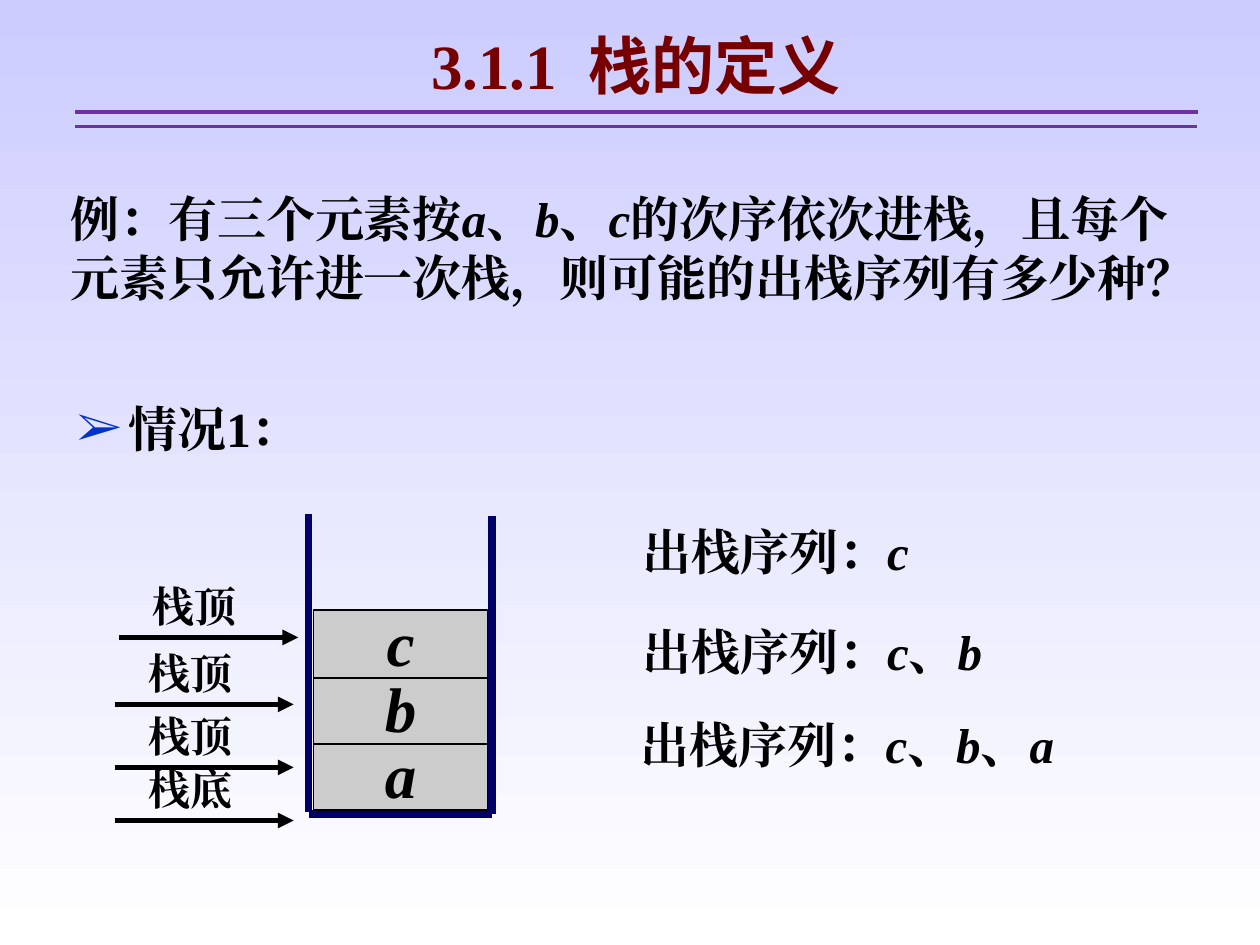
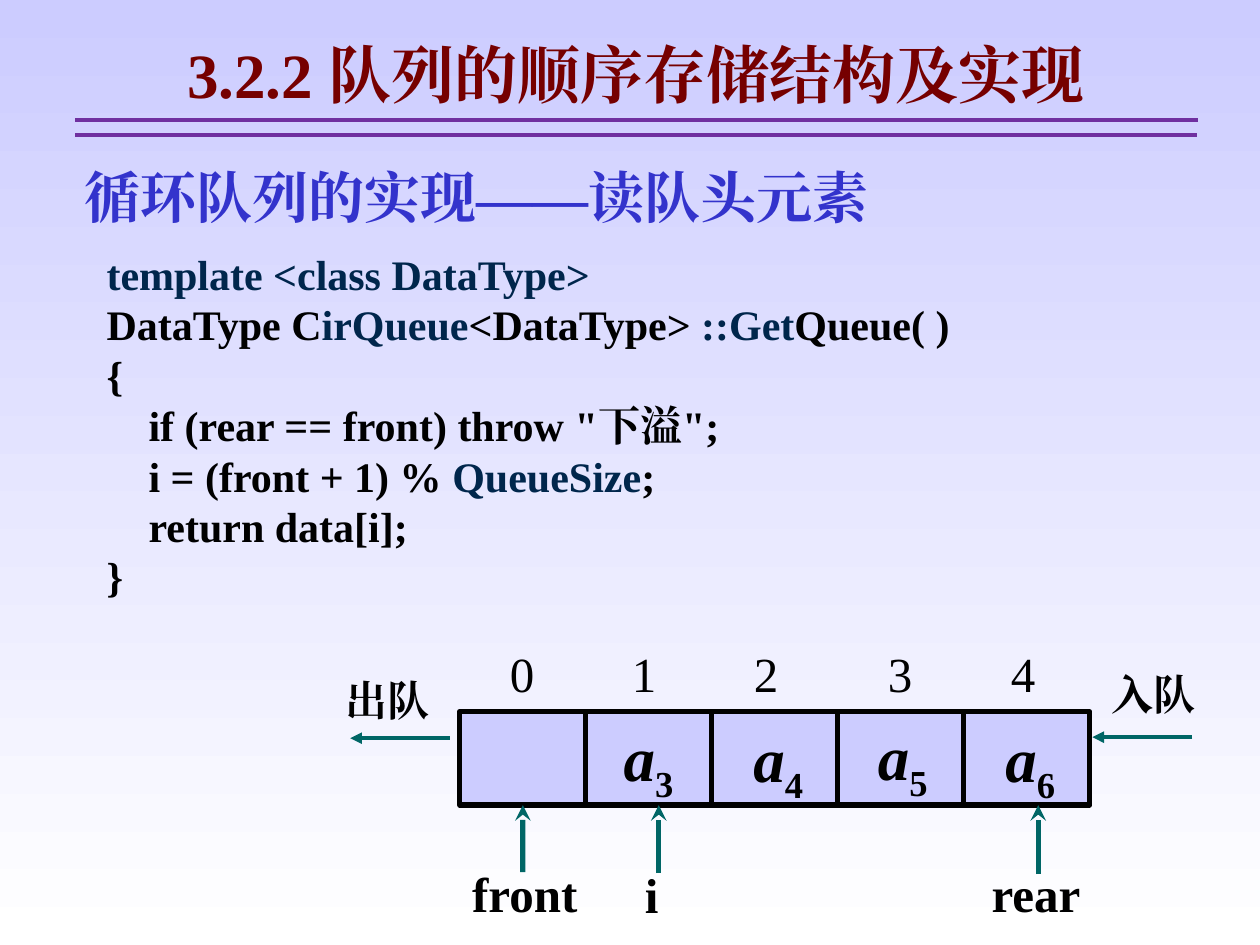
from dataclasses import dataclass

from lxml.etree import SubElement
from pptx import Presentation
from pptx.dml.color import RGBColor
from pptx.enum.shapes import MSO_CONNECTOR, MSO_SHAPE
from pptx.enum.text import MSO_ANCHOR, PP_ALIGN
from pptx.oxml.ns import qn
from pptx.util import Cm, Pt


@dataclass(frozen=True)
class Theme:
    black: str = "000000"
    title: str = "760000"
    rule: str = "7030A0"
    sky: str = "CCCCFF"
    white: str = "FFFFFF"
    stack_wall: str = "000066"
    stack_cell: str = "CCCCCC"
    pointer: str = "006666"
    heading: str = "3333CC"
    code: str = "00264C"
    bullet: str = "0033CC"
    serif: str = "Times New Roman"
    sans: str = "Noto Sans CJK SC"
    title_size: int = 36
    heading_size: int = 32
    body_size: int = 28
    label_size: int = 24


THEME = Theme()
ITALIC = {"italic": True}
CODE = {"color": THEME.code}
LABEL = {"size": THEME.label_size}
ELEMENT = {"size": THEME.title_size, "italic": True}
SUBSCRIPT = {"italic": False, "baseline": "-25000"}


def rgb(color):
    return RGBColor.from_string(color)


def add_span(para, text, style):
    span = para.add_run()
    span.text = text
    values = {
        "name": style.get("name", THEME.serif),
        "size": Pt(style.get("size", THEME.body_size)),
        "bold": style.get("bold", True),
        "italic": style.get("italic", False),
    }
    for name, value in values.items():
        setattr(span.font, name, value)
    span.font.color.rgb = rgb(style.get("color", THEME.black))
    properties = span.font._element
    SubElement(properties, qn("a:ea"), typeface=values["name"])
    for name in ("baseline", "spc"):
        if name in style:
            properties.set(name, style[name])


def write(para, spans, style):
    """Add spans, each a string or a (string, style changes) pair."""
    for item in spans:
        text, changes = (item, {}) if isinstance(item, str) else item
        add_span(para, text, {**style, **changes})


def add_text(page, left, top, width, height, lines, style=None,
             align=PP_ALIGN.LEFT, side_inset=0.25):
    """Place a text box; lines holds one list of spans per paragraph."""
    box = page.shapes.add_textbox(Cm(left), Cm(top), Cm(width), Cm(height))
    frame = box.text_frame
    layout = {
        "word_wrap": True,
        "margin_left": Cm(side_inset),
        "margin_right": Cm(side_inset),
        "margin_top": Cm(0.13),
        "margin_bottom": Cm(0.13),
    }
    for name, value in layout.items():
        setattr(frame, name, value)
    for number, spans in enumerate(lines):
        para = frame.add_paragraph() if number else frame.paragraphs[0]
        para.alignment = align
        write(para, spans, style or {})
    return box


def add_line(page, start, end, color, weight, arrow=None):
    line = page.shapes.add_connector(
        MSO_CONNECTOR.STRAIGHT, *(Cm(value) for value in (*start, *end)))
    line.line.color.rgb = rgb(color)
    line.line.width = Pt(weight)
    if arrow:
        SubElement(line.get_or_add_ln(), qn("a:tailEnd"), type=arrow)
    SubElement(line.element.spPr, qn("a:effectLst"))
    return line


def add_cell(page, left, top, width, height, fill, weight):
    cell = page.shapes.add_shape(
        MSO_SHAPE.RECTANGLE, Cm(left), Cm(top), Cm(width), Cm(height))
    cell.shadow.inherit = False
    cell.fill.solid()
    cell.fill.fore_color.rgb = rgb(fill)
    cell.line.color.rgb = rgb(THEME.black)
    cell.line.width = Pt(weight)
    return cell


def add_bullet(para, symbol, indent):
    properties = para._p.get_or_add_pPr()
    properties.set("marL", str(Cm(indent)))
    properties.set("indent", str(-Cm(indent)))
    color = SubElement(properties, qn("a:buClr"))
    SubElement(color, qn("a:srgbClr"), val=THEME.bullet)
    SubElement(properties, qn("a:buFont"), typeface=THEME.serif)
    SubElement(properties, qn("a:buChar"), char=symbol)


def add_tabs(para, stops):
    tabs = SubElement(para._p.get_or_add_pPr(), qn("a:tabLst"))
    for stop in stops:
        SubElement(tabs, qn("a:tab"), pos=str(Cm(stop)), algn="l")


def add_page(deck, title, top):
    """Add a page with the shared background, title and double rule."""
    page = deck.slides.add_slide(deck.slide_layouts[6])
    fill = page.background.fill
    fill.gradient()
    fill.gradient_angle = 270
    for stop, position, color in zip(
            fill.gradient_stops, (0, 1), (THEME.sky, THEME.white)):
        stop.position = position
        stop.color.rgb = rgb(color)
    add_text(page, 1.68, top, 22.28, 1.78, [title],
             {"size": THEME.title_size, "color": THEME.title},
             PP_ALIGN.CENTER)
    for right, drop in ((24.15, 1.84), (24.13, 2.14)):
        add_line(page, (1.52, top + drop), (right, top + drop),
                 THEME.rule, 2.25)
    return page


def listed(letters):
    """Set italic letters apart with upright enumeration commas."""
    spans = []
    for letter in letters:
        spans += ["、", (letter, ITALIC)]
    return spans[1:]


def draw_stack(page):
    left, right, floor = 6.22, 9.91, 16.41
    walls = [
        ((left, 10.36), (left, 16.36)),
        ((left, floor), (right, floor)),
        ((right, 10.41), (right, floor)),
    ]
    for start, end in walls:
        add_line(page, start, end, THEME.stack_wall, 4.5)
    for level, letter in enumerate("abc"):
        cell = add_cell(page, 6.32, 14.96 - level * 1.33, 3.51, 1.37,
                        THEME.stack_cell, 0.75)
        frame = cell.text_frame
        layout = {
            "word_wrap": False,
            "vertical_anchor": MSO_ANCHOR.MIDDLE,
            "margin_top": 0,
            "margin_bottom": Cm(0.13),
        }
        for name, value in layout.items():
            setattr(frame, name, value)
        frame.paragraphs[0].alignment = PP_ALIGN.CENTER
        write(frame.paragraphs[0], [letter], ELEMENT)


def draw_stack_pointers(page):
    pointers = [("栈底", 2.31, 15.27), ("栈顶", 2.31, 14.2),
                ("栈顶", 2.31, 12.93), ("栈顶", 2.4, 11.58)]
    for name, left, top in pointers:
        shaft = top + 1.27
        add_line(page, (left, shaft), (left + 3.61, shaft),
                 THEME.black, 3, "triangle")
        add_text(page, left + 0.43, top, 2.54, 1.27, [[name]], LABEL)


def build_stack_page(deck):
    title = ["3.1.1", (" ", {"spc": "900"}),
             ("栈的定义", {"name": THEME.sans})]
    page = add_page(deck, title, 0.41)
    draw_stack(page)
    draw_stack_pointers(page)
    for letters, left, top, height in (("c", 12.7, 10.39, 1.45),
                                       ("cb", 12.7, 12.4, 1.45),
                                       ("cba", 12.67, 14.27, 2.64)):
        add_text(page, left, top, 9.75, height,
                 [["出栈序列：", *listed(letters)]])
    question = ["例：有三个元素按", *listed("abc"),
                "的次序依次进栈，且每个元素只允许进一次栈，"
                "则可能的出栈序列有多少种？"]
    add_text(page, 1.42, 3.68, 23.01, 2.64, [question], side_inset=0)
    case = add_text(page, 1.3, 7.9, 6, 1.45, [["情况1："]])
    add_bullet(case.text_frame.paragraphs[0], "➢", 1.04)


def draw_queue(page):
    """Draw the five slots with their indices and return the slots."""
    left, top, width = 9.27, 14.35, 2.54
    slots = [add_cell(page, left + index * width, top, width, 1.88,
                      THEME.sky, 3) for index in range(5)]
    indices = add_text(page, 10.03, 12.85, 11.89, 1.45, [[]])
    para = indices.text_frame.paragraphs[0]
    add_tabs(para, (2.46, 4.92, 7.62, 10.1))
    write(para, ["0\t1\t2\t3\t4"], {"bold": False})
    elements = [("3", 12.32, 14.35), ("4", 14.94, 14.38),
                ("5", 17.45, 14.33), ("6", 20.02, 14.38)]
    for number, x, y in elements:
        add_text(page, x, y, 1.63, 2, [["a", (number, SUBSCRIPT)]], ELEMENT)
    return slots


def draw_queue_flow(page):
    flows = [("入队", 22.15, 13.34, 24.03, 14.86),
             ("出队", 6.71, 13.46, 9.07, 14.88)]
    for name, left, top, start, shaft in flows:
        add_line(page, (start, shaft), (start - 2.01, shaft),
                 THEME.pointer, 2.25, "triangle")
        add_text(page, left, top, 2.74, 1.27, [[name]], LABEL)


def draw_queue_pointers(page, first_slot):
    pointers = [("front", 9.27, 17.27, 10.54, 17.58),
                ("i", 12.75, 17.3, 13.28, 17.6),
                ("rear", 19.74, 17.27, 20.93, 17.62)]
    for name, left, top, shaft, tail in pointers:
        arrow = add_line(page, (shaft, tail), (shaft, 16.23),
                         THEME.pointer, 3, "stealth")
        if name == "front":
            arrow.end_connect(first_slot, 2)
        add_text(page, left, top, 2.67, 1.45, [[name]])


def build_queue_page(deck):
    page = add_page(deck, ["3.2.2 队列的顺序存储结构及实现"], 0.58)
    code_lines = [
        [("template <class DataType>", CODE)],
        ["DataType C", ("irQueue", CODE), "<DataType> ",
         ("::Get", CODE), "Queue( )"],
        ["{"],
        ['    if (rear == front) throw "下溢";'],
        ["    i = (front + 1) % ", ("QueueSize", CODE), ";"],
        ["    return data[i];"],
        ["}"],
    ]
    add_text(page, 1.9, 4.88, 22.02, 7.37, code_lines, LABEL)
    add_text(page, 1.45, 3.15, 17.15, 1.63, [["循环队列的实现——读队头元素"]],
             {"size": THEME.heading_size, "color": THEME.heading})
    slots = draw_queue(page)
    draw_queue_flow(page)
    draw_queue_pointers(page, slots[0])


def main():
    deck = Presentation()
    deck.slide_width = Cm(25.4)
    deck.slide_height = Cm(19.05)
    build_stack_page(deck)
    build_queue_page(deck)
    deck.save("out.pptx")


if __name__ == "__main__":
    main()
